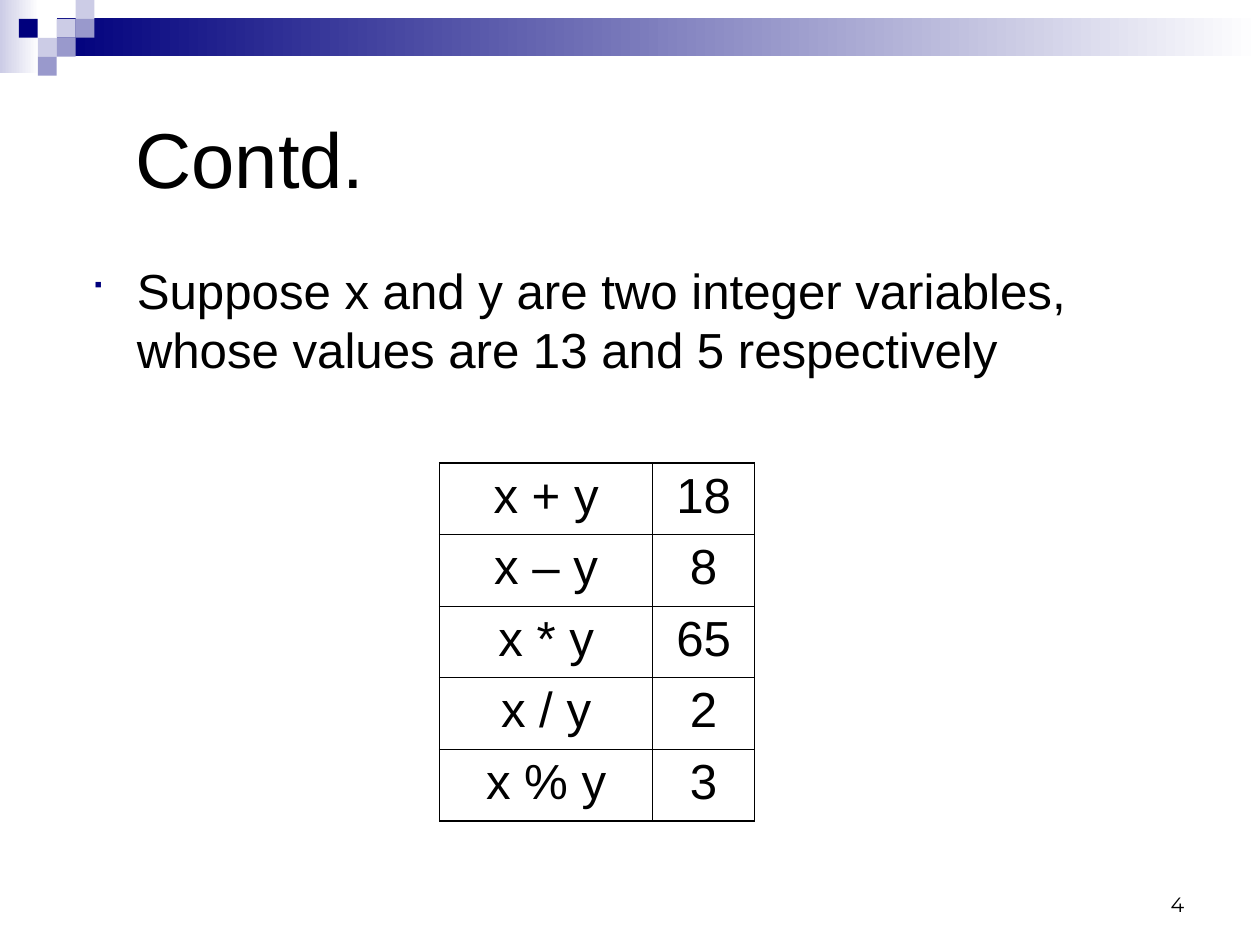
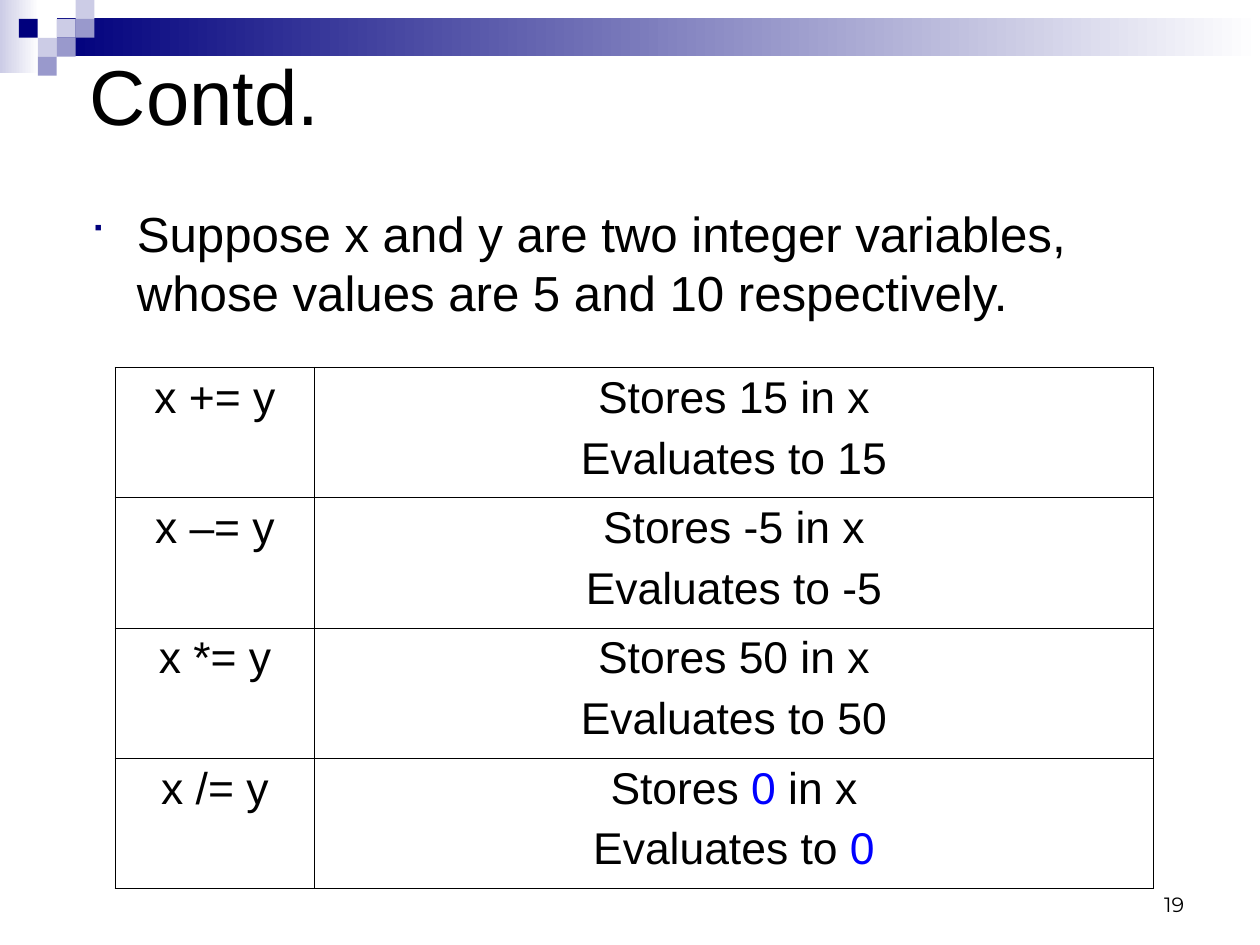
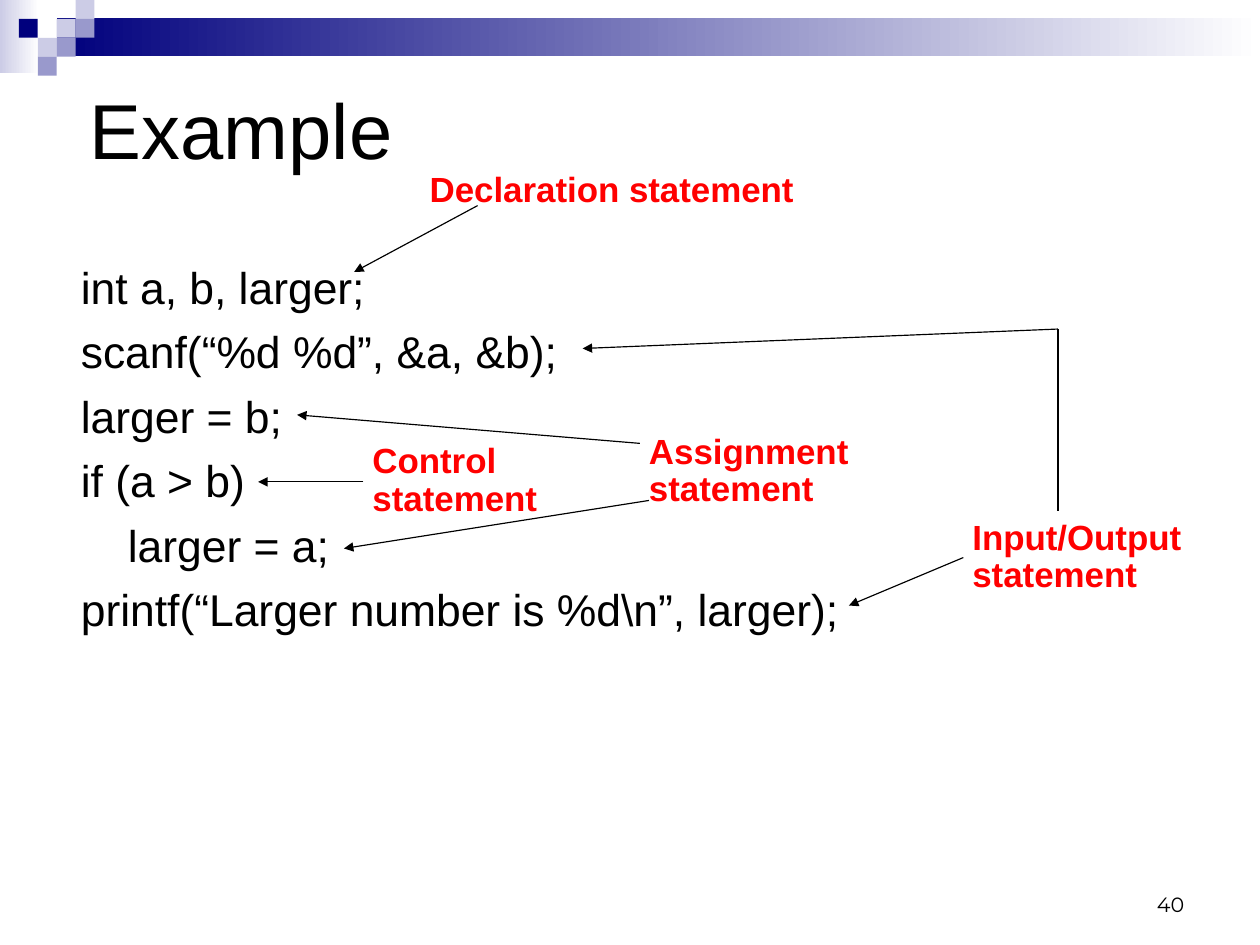
import dataclasses

import lxml.etree
import pptx
import pptx.dml.color
import pptx.enum.shapes
import pptx.enum.text
import pptx.oxml.ns
import pptx.util

WIDTH, HEIGHT = 28, 21
ROWS = 50
UNIT = HEIGHT / ROWS
COLS = WIDTH / UNIT
ALIGN = pptx.enum.text.PP_ALIGN
ANCHOR = pptx.enum.text.MSO_ANCHOR


@dataclasses.dataclass(frozen=True)
class Theme:
    font: str = "Arial"
    number_font: str = "Montserrat"
    bullet_font: str = "Wingdings"
    ink: str = "000000"
    paper: str = "FFFFFF"
    navy: str = "00007D"
    lilac: str = "9999CC"
    pale: str = "CCCCE6"
    accent: str = "0000FF"
    label: str = "FF0000"
    title_size: float = 49
    body_size: float = 31
    code_size: float = 28
    label_size: float = 22
    number_size: float = 13
    spacing: float = 0.25
    indent: float = 2.48
    inset: tuple = (0.65, 0.34)
    outer_line: float = 1.08
    inner_line: float = 0.45
    arrow_line: float = 0.75


T = Theme()


def grid(n):
    return pptx.util.Cm(n * UNIT)


def rgb(color):
    return pptx.dml.color.RGBColor.from_string(color)


def node(parent, tag, **attrs):
    child = lxml.etree.SubElement(parent, pptx.oxml.ns.qn(tag))
    for name, value in attrs.items():
        child.set(name, str(value))
    return child


def add_bullet(p):
    pPr = p._p.get_or_add_pPr()
    node(node(pPr, "a:buClr"), "a:srgbClr", val=T.navy)
    node(pPr, "a:buSzPct", val=75000)
    node(pPr, "a:buFont", typeface=T.bullet_font, charset=2)
    node(pPr, "a:buChar", char="■")


def write(tf, text, size=T.body_size, font=T.font, color=T.ink, bold=False,
          align=ALIGN.LEFT, before=0, line=None, hanging=False, bullet=False):
    paragraphs = text if isinstance(text, list) else [text]
    for i, content in enumerate(paragraphs):
        p = tf.paragraphs[0] if i == 0 else tf.add_paragraph()
        p.alignment = align
        p.space_before = pptx.util.Pt(before)
        if line:
            p.line_spacing = line
        if hanging:
            pPr = p._p.get_or_add_pPr()
            pPr.set("marL", str(grid(T.indent)))
            pPr.set("indent", str(-grid(T.indent)))
        if bullet:
            add_bullet(p)
        runs = [(content, color)] if isinstance(content, str) else content
        for words, run_color in runs:
            r = p.add_run()
            r.text = words
            r.font.name = font
            r.font.size = pptx.util.Pt(size)
            r.font.bold = bold
            r.font.color.rgb = rgb(run_color)


def add_text(s, at, text, anchor=ANCHOR.TOP, inset=T.inset, **style):
    sp = s.shapes.add_textbox(*map(grid, at))
    tf = sp.text_frame
    tf.word_wrap = True
    tf.vertical_anchor = anchor
    tf.margin_left = tf.margin_right = grid(inset[0])
    tf.margin_top = tf.margin_bottom = grid(inset[1])
    write(tf, text, **style)
    return sp


def add_block(s, at, color, fade_to=None):
    sp = s.shapes.add_shape(pptx.enum.shapes.MSO_SHAPE.RECTANGLE, *map(grid, at))
    sp.shadow.inherit = False
    sp.line.fill.background()
    if fade_to:
        sp.fill.gradient()
        sp.fill.gradient_angle = 0
        for stop, tone, place in zip(sp.fill.gradient_stops, (color, fade_to), (0, 1)):
            stop.color.rgb = rgb(tone)
            stop.position = place
    else:
        sp.fill.solid()
        sp.fill.fore_color.rgb = rgb(color)


def add_banner(s):
    add_block(s, (0, 0, 2.06, 3.87), T.pale, fade_to=T.paper)
    add_block(s, (3.02, 0.98, COLS - 3.02, 1.98), T.navy, fade_to=T.paper)
    squares = [(3, 1, T.pale), (4, 0, T.pale), (4, 1, T.lilac), (2, 2, T.pale),
               (1, 1, T.navy), (3, 2, T.lilac), (2, 3, T.lilac)]
    for col, row, color in squares:
        add_block(s, (col, row, 1, 1), color)


def add_slide(prs, number, title, title_at):
    s = prs.slides.add_slide(prs.slide_layouts[6])
    add_banner(s)
    add_text(s, (47.76, 45.53, 15.54, 3.33), number, anchor=ANCHOR.BOTTOM,
             font=T.number_font, size=T.number_size, align=ALIGN.RIGHT)
    add_text(s, title_at, title, anchor=ANCHOR.MIDDLE, size=T.title_size)
    return s


def add_point(s, top, text):
    add_text(s, (4.11, top, 54.17, 27.45), text, before=T.body_size * T.spacing,
             hanging=True, bullet=True)


def add_border(cell, side, width):
    ln = node(cell._tc.get_or_add_tcPr(), "a:ln" + side, w=pptx.util.Pt(width))
    node(node(ln, "a:solidFill"), "a:srgbClr", val=T.ink)


def add_grid_table(s, left, top, widths, row_height, rows, size):
    at = (left, top, sum(widths), row_height * len(rows))
    table = s.shapes.add_table(len(rows), len(widths), *map(grid, at)).table
    table.first_row = table.horz_banding = False
    for column, width in zip(table.columns, widths):
        column.width = grid(width)
    for i, row in enumerate(rows):
        table.rows[i].height = grid(row_height)
        for j, text in enumerate(row):
            cell = table.cell(i, j)
            edges = {"L": j == 0, "R": j == len(widths) - 1,
                     "T": i == 0, "B": i == len(rows) - 1}
            for side, is_outer in edges.items():
                add_border(cell, side, T.outer_line if is_outer else T.inner_line)
            cell.fill.background()
            write(cell.text_frame, text, size=size, align=ALIGN.CENTER,
                  before=size * T.spacing)


def add_label(s, at, text, **style):
    add_text(s, at, text, inset=(0, 0), size=T.label_size, color=T.label,
             bold=True, **style)


def add_line(s, start, end, arrow=True):
    sp = s.shapes.add_connector(pptx.enum.shapes.MSO_CONNECTOR.STRAIGHT,
                                *map(grid, start + end))
    sp.line.color.rgb = rgb(T.ink)
    sp.line.width = pptx.util.Pt(T.arrow_line)
    if arrow:
        node(sp.line._get_or_add_ln(), "a:tailEnd", type="triangle")
    node(sp._element.spPr, "a:effectLst")


def build_arithmetic(prs):
    s = add_slide(prs, "4", "Contd.", (6.53, 3.33, 54.17, 10))
    add_point(s, 13.42, "Suppose x and y are two integer variables, "
                        "whose values are 13 and 5 respectively")
    rows = [("x + y", "18"), ("x – y", "8"), ("x * y", "65"),
            ("x / y", "2"), ("x % y", "3")]
    add_grid_table(s, 23.26, 24.49, (11.27, 5.4), 3.79, rows, T.body_size)


def build_assignment(prs):
    s = add_slide(prs, "19", "Contd.", (4.11, 0, 54.17, 10))
    add_point(s, 10.4, "Suppose x and y are two integer variables, "
                       "whose values are 5 and 10 respectively.")
    results = [("x += y", "15", T.ink), ("x –= y", "-5", T.ink),
               ("x *= y", "50", T.ink), ("x /= y", "0", T.accent)]
    rows = [(operation, [[("Stores ", T.ink), (value, color), (" in x", T.ink)],
                         [("Evaluates to ", T.ink), (value, color)]])
            for operation, value, color in results]
    add_grid_table(s, 6.11, 19.45, (10.52, 44.4), 6.89, rows, T.code_size)


def build_example(prs):
    s = add_slide(prs, "40", "Example", (4.11, 1.81, 60, 10))
    code = ["int a, b, larger;", "scanf(“%d %d”, &a, &b);", "larger = b;",
            "if (a > b)", "larger = a;", "printf(“Larger number is %d\\n”, larger);"]
    sp = add_text(s, (3.63, 13.42, 60, 28.3), code, size=T.code_size,
                  before=T.code_size * T.spacing, hanging=True)
    sp.text_frame.paragraphs[4]._p.get_or_add_pPr().set("indent", "0")

    add_label(s, (22.73, 8.87, 20.13, 2.24), "Declaration statement", before=13.8)
    for kind, at in [("Assignment", (34.34, 22.97, 12.52, 4)),
                     ("Control", (19.71, 23.48, 10.1, 4)),
                     ("Input/Output", (51.45, 27.51, 12.58, 4))]:
        add_label(s, at, [kind, "statement"], line=0.9)

    corner = (55.98, 17.41)
    for start, end in [((25.27, 10.88), (18.74, 14.39)),
                       ((19.23, 25.5), (13.66, 25.5)),
                       ((33.86, 23.46), (15.72, 21.95)),
                       ((34.34, 26.48), (18.2, 29.02)),
                       ((50.97, 29.5), (44.92, 32.04)),
                       (corner, (30.83, 18.44))]:
        add_line(s, start, end)
    add_line(s, (55.98, 27.03), corner, arrow=False)


def main():
    prs = pptx.Presentation()
    prs.slide_width = pptx.util.Cm(WIDTH)
    prs.slide_height = pptx.util.Cm(HEIGHT)
    build_arithmetic(prs)
    build_assignment(prs)
    build_example(prs)
    prs.save("out.pptx")


if __name__ == "__main__":
    main()
